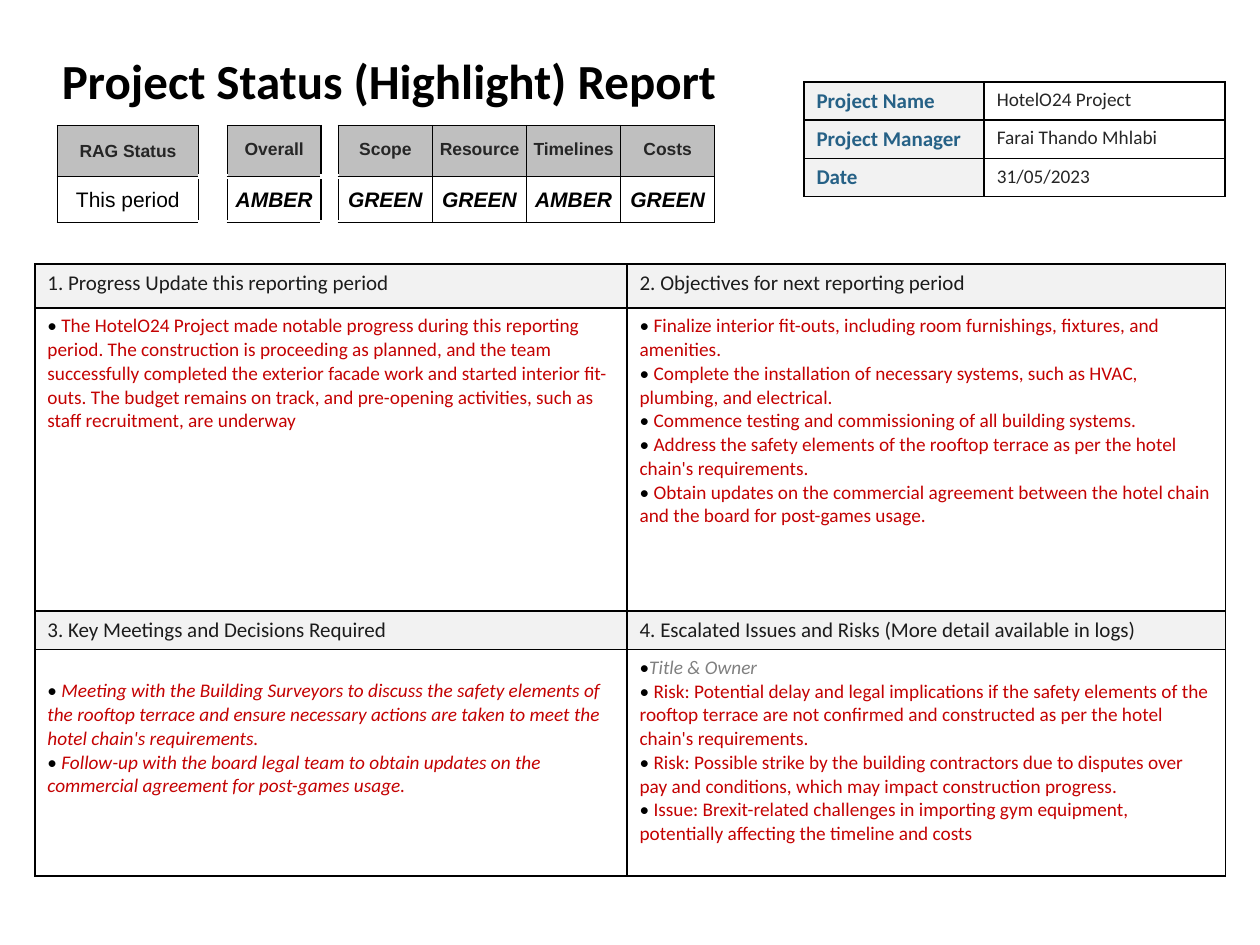
from itertools import product

from lxml.etree import SubElement
from pptx import Presentation
from pptx.dml.color import RGBColor
from pptx.enum.text import MSO_ANCHOR, MSO_AUTO_SIZE, PP_ALIGN
from pptx.oxml import parse_xml
from pptx.oxml.ns import nsdecls, qn
from pptx.util import Pt

BLACK = RGBColor(0x00, 0x00, 0x00)
WHITE = RGBColor(0xFF, 0xFF, 0xFF)
CHARCOAL = RGBColor(0x26, 0x26, 0x26)
HEADING = RGBColor(0x1C, 0x1C, 0x1C)
BLUE = RGBColor(0x26, 0x61, 0x86)
RED = RGBColor(0xC4, 0x02, 0x02)
GREY = RGBColor(0x80, 0x80, 0x80)
SILVER = RGBColor(0xBF, 0xBF, 0xBF)
PALE = RGBColor(0xF2, 0xF2, 0xF2)

RATINGS = [
    ("RAG Status", "This period"), None, ("Overall", "AMBER"), None,
    ("Scope", "GREEN"), ("Resource", "GREEN"), ("Timelines", "AMBER"), ("Costs", "GREEN"),
]
DETAILS = [
    ("Project Name", "HotelO24 Project"),
    ("Project Manager", "Farai Thando Mhlabi"),
    ("Date", "31/05/2023"),
]
PROGRESS = [
    " The HotelO24 Project made notable progress during this reporting period. The construction is "
    "proceeding as planned, and the team successfully completed the exterior facade work and started "
    "interior fit-outs. The budget remains on track, and pre-opening activities, such as staff "
    "recruitment, are underway",
]
OBJECTIVES = [
    " Finalize interior fit-outs, including room furnishings, fixtures, and amenities.",
    " Complete the installation of necessary systems, such as HVAC, plumbing, and electrical.",
    " Commence testing and commissioning of all building systems.",
    " Address the safety elements of the rooftop terrace as per the hotel chain's requirements.",
    " Obtain updates on the commercial agreement between the hotel chain and the board for "
    "post-games usage.",
]
MEETINGS = [
    " Meeting with the Building Surveyors to discuss the safety elements of the rooftop terrace and "
    "ensure necessary actions are taken to meet the hotel chain's requirements.",
    " Follow-up with the board legal team to obtain updates on the commercial agreement for "
    "post-games usage.",
]
ISSUES = [
    "Title & Owner",
    " Risk: Potential delay and legal implications if the safety elements of the rooftop terrace are "
    "not confirmed and constructed as per the hotel chain's requirements.",
    " Risk: Possible strike by the building contractors due to disputes over pay and conditions, "
    "which may impact construction progress.",
    " Issue: Brexit-related challenges in importing gym equipment, potentially affecting the "
    "timeline and costs",
]


def style_font(para, name, size, color, bold=False, italic=False):
    """Set the font of a whole paragraph."""
    font = para.font
    font.name, font.size, font.bold, font.italic = name, Pt(size), bold, italic
    font.color.rgb = color


def set_borders(cell, left=BLACK, right=BLACK, top=BLACK, bottom=BLACK):
    """Replace the four cell edges, black ones thin and white ones thick."""
    properties = cell._tc.get_or_add_tcPr()
    for index, (side, color) in enumerate(zip("LRTB", (left, right, top, bottom))):
        for edge in properties.findall(qn(f"a:ln{side}")):
            properties.remove(edge)
        width = Pt(1 if color == BLACK else 3)
        properties.insert(index, parse_xml(
            f'<a:ln{side} {nsdecls("a")} w="{width}"><a:solidFill>'
            f'<a:srgbClr val="{color}"/></a:solidFill></a:ln{side}>'))


def set_margins(cell, across, down):
    """Set equal side margins and equal top and bottom margins."""
    cell.margin_left = cell.margin_right = Pt(across)
    cell.margin_top = cell.margin_bottom = Pt(down)


def add_grid(page, box, columns, rows):
    """Add a plain table with its corner at box and black cell edges."""
    left, top = box
    frame = page.shapes.add_table(len(rows), len(columns), Pt(left), Pt(top),
                                  Pt(sum(columns)), Pt(sum(rows)))
    table = frame.table
    table.first_row = table.horz_banding = False
    for column, width in zip(table.columns, columns):
        column.width = Pt(width)
    for row, height in zip(table.rows, rows):
        row.height = Pt(height)
    for cell in table.iter_cells():
        cell.fill.background()
        set_borders(cell)
    return table


def fill_cell(cell, text, name, size, color, fill=None, bold=False, italic=False):
    """Write one paragraph into a cell and return it."""
    para = cell.text_frame.paragraphs[0]
    para.text = text
    style_font(para, name, size, color, bold, italic)
    if fill is not None:
        cell.fill.solid()
        cell.fill.fore_color.rgb = fill
    return para


def add_bullet(para):
    """Give a paragraph a black round bullet without indent."""
    properties = para._p.get_or_add_pPr()
    properties.set("marL", "0")
    properties.set("indent", "0")
    color = SubElement(properties, qn("a:buClr"))
    SubElement(color, qn("a:srgbClr"), val=str(BLACK))
    SubElement(properties, qn("a:buFont"), typeface="Calibri")
    SubElement(properties, qn("a:buChar"), char="•")


def fill_bullets(cell, items, italic=False):
    """Write a red bulleted list, with a grey italic hint for unspaced items."""
    frame = cell.text_frame
    for index, item in enumerate(items):
        para = frame.add_paragraph() if index else frame.paragraphs[0]
        para.text = item
        add_bullet(para)
        hint = not item.startswith(" ")
        style_font(para, "Calibri", 11, GREY if hint else RED, italic=italic or hint)


def add_title(page, box):
    """Place and format the report title."""
    title = page.shapes.title
    title.left, title.top, title.width, title.height = map(Pt, box)
    frame = title.text_frame
    frame.text = "Project Status (Highlight) Report"
    frame.auto_size = MSO_AUTO_SIZE.NONE
    frame.vertical_anchor = MSO_ANCHOR.MIDDLE
    para = frame.paragraphs[0]
    para.alignment = PP_ALIGN.LEFT
    style_font(para, "Calibri", 28, BLACK, bold=True)


def add_ratings(page, box):
    """Add the status ratings, with open gaps between the groups."""
    table = add_grid(page, box, [80.6, 16.6, 53.4, 10] + [53.8] * 4, [29, 26.5])
    for row, (column, rating) in product(range(2), enumerate(RATINGS)):
        cell = table.cell(row, column)
        if rating is None:
            set_borders(cell, top=WHITE, bottom=WHITE)
            set_margins(cell, 0, 0)
            continue
        cell.vertical_anchor = MSO_ANCHOR.MIDDLE
        set_margins(cell, 2.9, 1.4)
        if row == 0:
            para = fill_cell(cell, rating[0], "Arial", 10, CHARCOAL, SILVER, bold=True)
        else:
            rated = column > 0
            para = fill_cell(cell, rating[1], "Arial", 12, BLACK, bold=rated, italic=rated)
        para.alignment = PP_ALIGN.CENTER
        para.line_spacing = 0.8 if row == 0 and column else 1.05


def add_details(page, box):
    """Add the project name, manager and date."""
    table = add_grid(page, box, [103, 137.5], [21.8] * 3)
    for row, (label, value) in enumerate(DETAILS):
        fill_cell(table.cell(row, 0), label, "Calibri", 12, BLUE, PALE, bold=True)
        fill_cell(table.cell(row, 1), value, "Calibri", 11, CHARCOAL)


def add_sections(page, box, rows, headings, lists, italic_first=False):
    """Add two headed lists side by side."""
    table = add_grid(page, box, [338.4, 342], rows)
    for column, (heading, items) in enumerate(zip(headings, lists)):
        para = fill_cell(table.cell(0, column), heading, "Calibri", 12, HEADING, PALE)
        para.space_before = para.space_after = Pt(3)
        fill_bullets(table.cell(1, column), items, italic_first and column == 0)
    return table


deck = Presentation()
deck.slide_width, deck.slide_height = Pt(720), Pt(540)
page = deck.slides.add_slide(deck.slide_layouts[5])
add_title(page, (28.1, 19.4, 398.9, 52.6))
add_ratings(page, (32.8, 71.8))
add_details(page, (459.4, 46.8))
add_sections(page, (19.9, 150.8), [25.2, 173.2],
             ["1. Progress Update this reporting period", "2. Objectives for next reporting period"],
             [PROGRESS, OBJECTIVES])
lower = add_sections(page, (19.9, 349.2), [22, 129.5],
                     ["3. Key Meetings and Decisions Required",
                      "4. Escalated Issues and Risks (More detail available in logs)"],
                     [MEETINGS, ISSUES], italic_first=True)
lower.cell(1, 0).margin_top = Pt(17)
deck.save("out.pptx")
